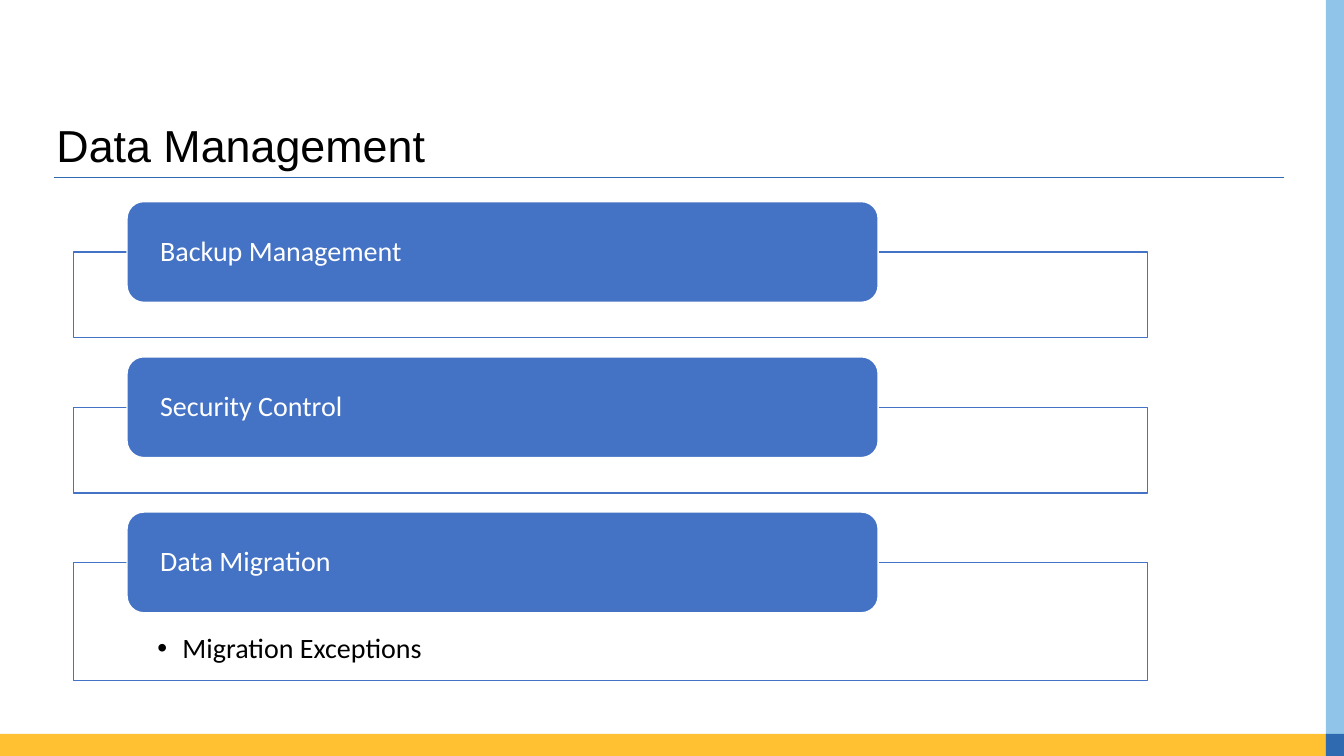
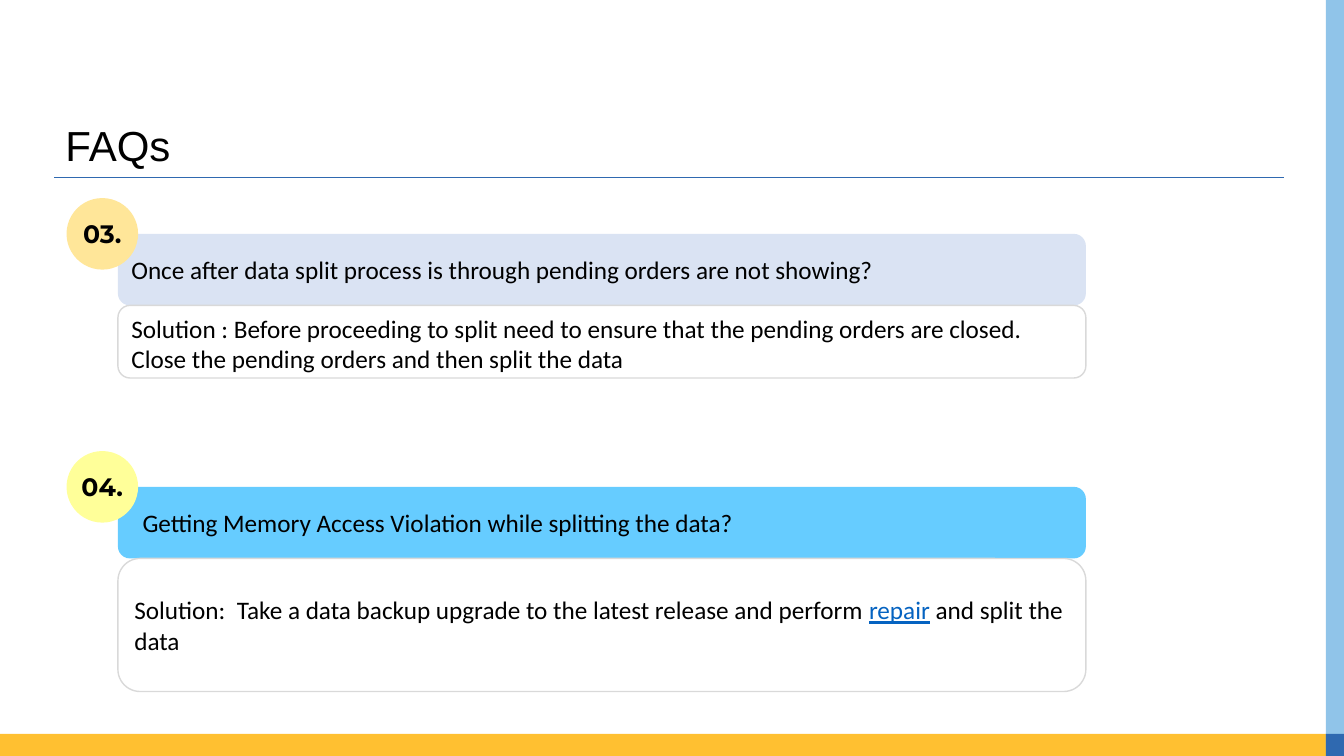
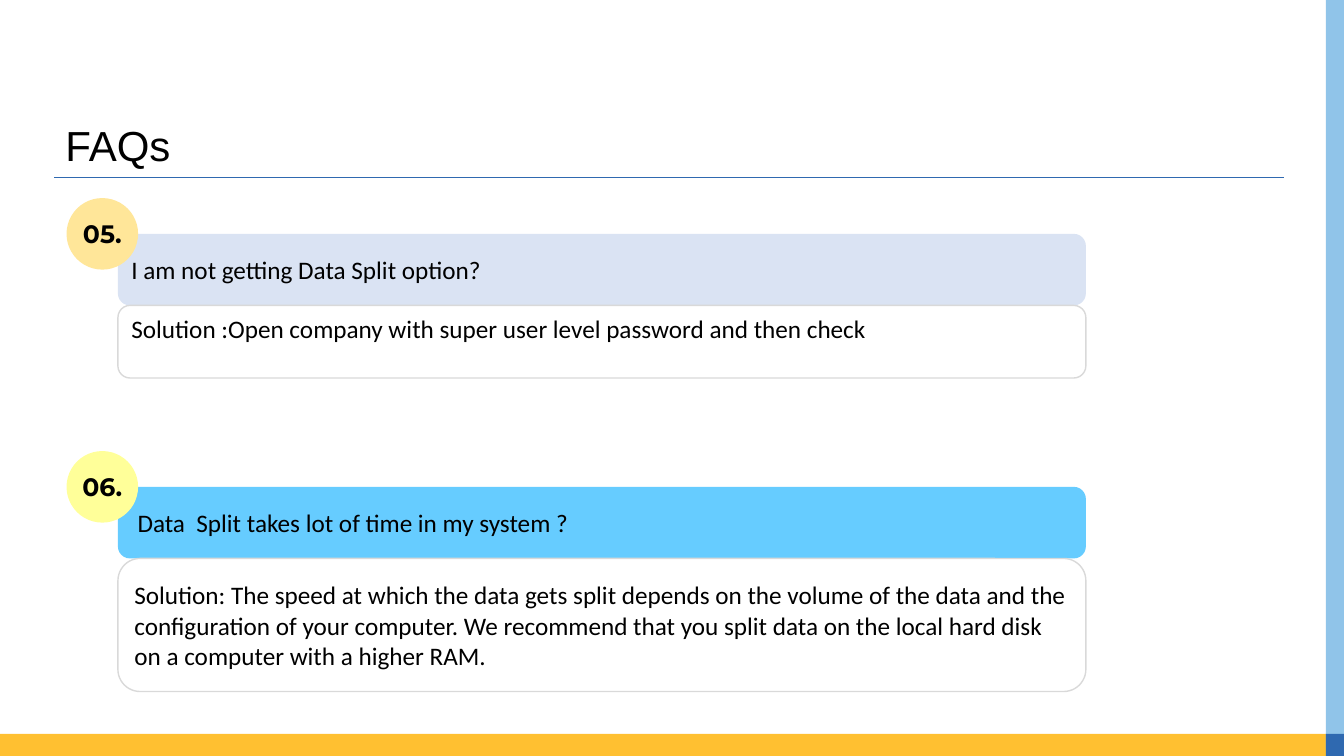
from lxml.etree import SubElement
from pptx import Presentation
from pptx.dml.color import RGBColor
from pptx.enum.shapes import MSO_CONNECTOR as Connector, MSO_SHAPE as Shape
from pptx.enum.text import MSO_ANCHOR as Anchor, PP_ALIGN as Align
from pptx.oxml.ns import qn
from pptx.util import Inches, Pt

WIDTH, HEIGHT = 13.33, 7.5
BLACK, WHITE, LINK = "000000", "FFFFFF", "0563C1"
BLUE, RULE, BORDER = "4472C4", "2F69B0", "D9D9D9"
BANDS = [
    (0, 7.28, WIDTH, 0.22, "FFC031"),
    (13.15, 0, 0.18, 7.43, "90C4E9"),
    (13.15, 7.28, 0.18, 0.22, RULE),
]
BODY = {"name": "Calibri", "size": Pt(18), "bold": False}
TOPIC = {**BODY, "size": Pt(20)}
BADGE = {"name": "Montserrat", "size": Pt(18), "bold": True}

TOPICS = [
    ("Backup Management", 0.85, ""),
    ("Security Control", 0.85, ""),
    ("Data Migration", 1.17, "Migration Exceptions"),
]
CARD_STYLES = [
    {"top": 2.32, "height": 0.72, "anchor": Anchor.TOP, "question": "DAE3F3", "badge": "FFE699"},
    {"top": 4.83, "height": 1.32, "anchor": Anchor.MIDDLE, "question": "66CCFF", "badge": "FFFF99"},
]
FAQ_SLIDES = [
    [
        ("03.", "Once after data split process is through pending orders are not showing?", 0.1,
         [("Solution : Before proceeding to split need to ensure that the pending orders are "
           "closed. Close the pending orders and then split the data", {})]),
        ("04.", "Getting Memory Access Violation while splitting the data?", 0.21,
         [("Solution:  Take a data backup upgrade to the latest release and perform ", {}),
          ("repair", {"color": LINK, "underline": True}),
          (" and split the data", {})]),
    ],
    [
        ("05.", "I am not getting Data Split option?", 0.1,
         [("Solution :Open company with super user level password and then check", {})]),
        ("06.", "Data  Split takes lot of time in my system ?", 0.16,
         [("Solution: The speed at which the data gets split depends on the volume of the data "
           "and the configuration of your computer. We recommend that you split data on the "
           "local hard disk on a computer with a higher RAM.", {})]),
    ],
]


def rgb(value):
    """Turn a hex string into a colour."""
    return RGBColor.from_string(value)


def apply(target, values):
    """Set every attribute in a dict of format values."""
    for name, value in values.items():
        if name == "color":
            target.color.rgb = rgb(value)
        else:
            setattr(target, name, value)


def add_box(slide, kind, left, top, width, height, fill, line=None):
    """Add a preset shape with a flat fill and an optional outline."""
    shape = slide.shapes.add_shape(kind, *map(Inches, (left, top, width, height)))
    shape.shadow.inherit = False
    shape.fill.solid()
    shape.fill.fore_color.rgb = rgb(fill)
    if line:
        apply(shape.line, {"color": line, "width": Pt(1)})
    else:
        shape.line.fill.background()
    return shape


def write(shape, runs, font, margins=(0.1, 0.05), anchor=Anchor.MIDDLE, align=Align.LEFT,
          spacing=1.0, color=BLACK, wrap=True):
    """Fill a shape with one paragraph of formatted runs and return the paragraph."""
    frame = shape.text_frame
    side, edge = map(Inches, margins)
    apply(frame, {"word_wrap": wrap, "vertical_anchor": anchor, "margin_left": side,
                  "margin_right": side, "margin_top": edge, "margin_bottom": edge})
    paragraph = frame.paragraphs[0]
    apply(paragraph, {"alignment": align, "line_spacing": spacing})
    for text, changes in runs:
        run = paragraph.add_run()
        run.text = text
        apply(run.font, {**font, "color": color, **changes})
    return paragraph


def add_bullet(paragraph):
    """Give a paragraph a hanging round bullet."""
    properties = paragraph._p.get_or_add_pPr()
    properties.set("marL", str(Inches(0.25)))
    properties.set("indent", str(Inches(-0.25)))
    SubElement(properties, qn("a:buFont")).set("typeface", "Arial")
    SubElement(properties, qn("a:buChar")).set("char", "•")


def add_slide(presentation, title, size, indent):
    """Start a slide with the shared bands, rule and title."""
    slide = presentation.slides.add_slide(presentation.slide_layouts[6])
    for band in BANDS:
        add_box(slide, Shape.RECTANGLE, *band)
    rule = slide.shapes.add_connector(
        Connector.STRAIGHT, *map(Inches, (0.54, 1.76, 12.73, 1.76)))
    apply(rule.line, {"color": RULE, "width": Pt(0.82)})
    SubElement(rule._element.spPr, qn("a:effectLst"))
    box = slide.shapes.add_textbox(*map(Inches, (0.49, 1.22, 12.2, 0.5)))
    write(box, [(title, {})], {"name": "Arial", "size": Pt(size)}, (indent, 0), spacing=0.9)
    return slide


def add_topic(slide, top, name, height, detail):
    """Add a topic pill over an outlined panel with an optional bullet."""
    panel = add_box(slide, Shape.RECTANGLE, 0.73, top, 10.65, height, WHITE, BLUE)
    if detail:
        paragraph = write(panel, [(detail, {})], TOPIC, (0.83, 0.71), Anchor.TOP, spacing=0.9)
        panel.text_frame.margin_bottom = Inches(0.16)
        add_bullet(paragraph)
    pill = add_box(slide, Shape.ROUNDED_RECTANGLE, 1.26, top - 0.5, 7.45, 1, BLUE, WHITE)
    write(pill, [(name, {})], TOPIC, (0.28, 0.05), spacing=0.9, color=WHITE)


def add_faq(slide, style, number, question, indent, answer):
    """Add a numbered question bar with its solution box below."""
    left, top, width, bar = 1.17, style["top"], 9.6, 0.71
    heading = add_box(slide, Shape.ROUNDED_RECTANGLE, left, top, width, bar, style["question"])
    write(heading, [(question, {})], BODY, (indent, 0.05))
    badge = add_box(slide, Shape.OVAL, 0.66, top - bar / 2, bar, bar, style["badge"])
    write(badge, [(number, {})], BADGE, (0, 0), align=Align.CENTER, wrap=False)
    solution = add_box(slide, Shape.ROUNDED_RECTANGLE, left, top + bar, width, style["height"],
                       WHITE, BORDER)
    write(solution, answer, BODY, (0.1, 0.04), style["anchor"])


def main():
    """Build and save the three slides."""
    presentation = Presentation()
    apply(presentation, {"slide_width": Inches(WIDTH), "slide_height": Inches(HEIGHT)})
    slide = add_slide(presentation, "Data Management", 32, 0.07)
    for index, topic in enumerate(TOPICS):
        add_topic(slide, 2.5 + 1.54 * index, *topic)
    for faqs in FAQ_SLIDES:
        slide = add_slide(presentation, "FAQs", 30, 0.16)
        for style, faq in zip(CARD_STYLES, faqs):
            add_faq(slide, style, *faq)
    presentation.save("out.pptx")


if __name__ == "__main__":
    main()
